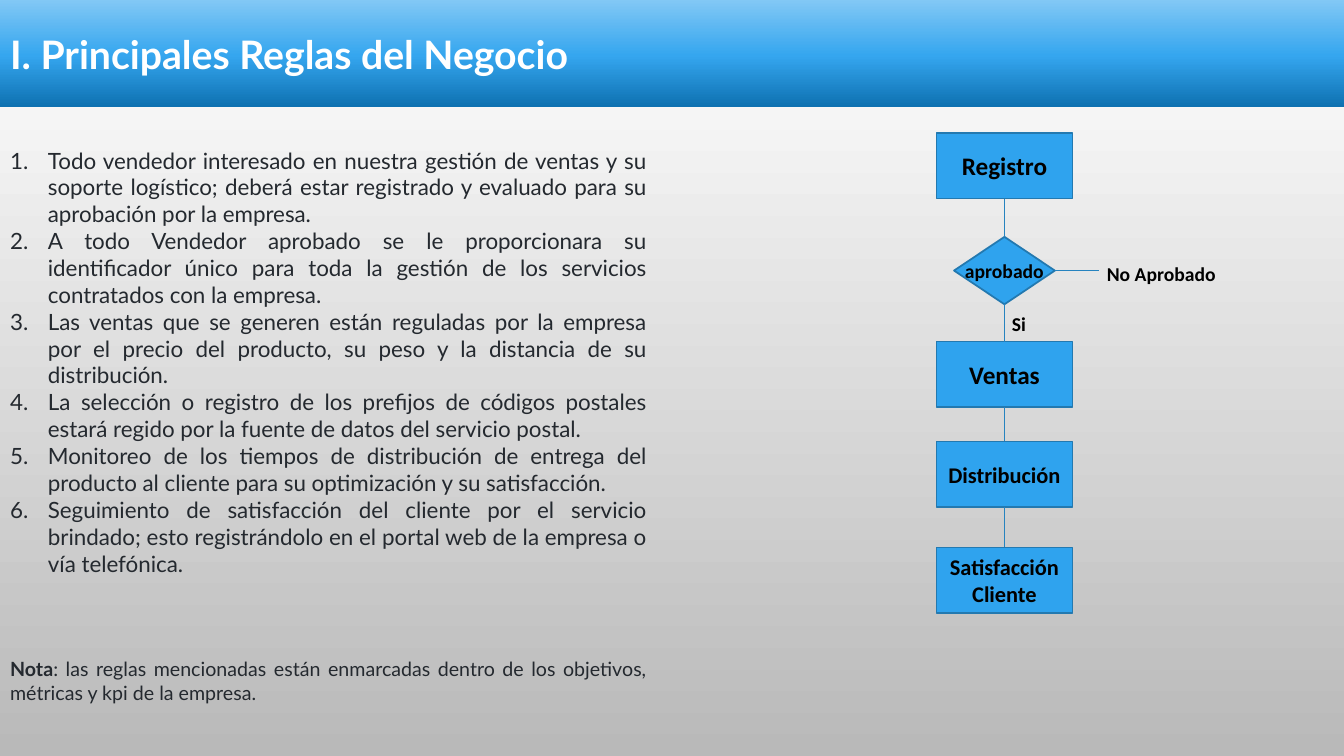
from copy import deepcopy

from lxml import etree
from pptx import Presentation
from pptx.dml.color import RGBColor
from pptx.enum import shapes, text
from pptx.oxml.ns import qn
from pptx.util import Pt

WHITE = RGBColor(0xFF, 0xFF, 0xFF)
BLACK = RGBColor(0, 0, 0)
GRAY = RGBColor(0xB9, 0xB9, 0xB9)
INK = RGBColor(0x24, 0x29, 0x2F)
DEEP_BLUE = RGBColor(0x0E, 0x71, 0xB1)
MID_BLUE = RGBColor(0x35, 0xA6, 0xEF)
PALE_BLUE = RGBColor(0x82, 0xC8, 0xF5)
STEP_BLUE = RGBColor(0x2F, 0xA3, 0xEE)
EDGE_BLUE = RGBColor(0x23, 0x79, 0xB0)
LINK_BLUE = RGBColor(0x26, 0x83, 0xBF)

TITLE = "I. Principales Reglas del Negocio"
RULES = [
    "Todo vendedor interesado en nuestra gestión de ventas y su soporte logístico; "
    "deberá estar registrado y evaluado para su aprobación por la empresa.",
    "A todo Vendedor aprobado se le proporcionara su identificador único para toda "
    "la gestión de los servicios contratados con la empresa.",
    "Las ventas que se generen están reguladas por la empresa por el precio del "
    "producto, su peso y la distancia de su distribución.",
    "La selección o registro de los prefijos de códigos postales estará regido por "
    "la fuente de datos del servicio postal.",
    "Monitoreo de los tiempos de distribución de entrega del producto al cliente "
    "para su optimización y su satisfacción.",
    "Seguimiento de satisfacción del cliente por el servicio brindado; esto "
    "registrándolo en el portal web de la empresa o vía telefónica.",
]
NOTE = ": las reglas mencionadas están enmarcadas dentro de los objetivos, métricas y kpi de la empresa."

# Text lines, font size and top (relative to the flow) of each step
STEPS = [
    (["Registro"], 18, 0),
    (["Ventas"], 18, 149),
    (["Distribución"], 16, 220.3),
    (["Satisfacción", "Cliente"], 16, 296),
]
STEP_HEIGHT = 46.8
DECISION_TOP, DECISION_WIDTH, DECISION_HEIGHT = 74.2, 72, 48.2


def write(paragraph, content, size, font="Calibri", color=BLACK, bold=True,
          align=text.PP_ALIGN.CENTER):
    paragraph.alignment = align
    run = paragraph.add_run()
    run.text = content
    run.font.size = Pt(size)
    run.font.name = font
    run.font.bold = bold
    run.font.color.rgb = color


def place(shape, left, top, width, height):
    shape.left, shape.top, shape.width, shape.height = (
        Pt(left), Pt(top), Pt(width), Pt(height))


def paint_gradient(fill, element, angle, stops):
    """Fill with (position, colour) stops; element is the XML that holds the fill."""
    fill.gradient()
    fill.gradient_angle = angle
    stop_list = element.find(".//" + qn("a:gsLst"))
    while len(stop_list) < len(stops):
        stop_list.append(deepcopy(stop_list[-1]))
    for stop, (position, color) in zip(fill.gradient_stops, stops):
        stop.position = position
        stop.color.rgb = color


def set_marker(paragraph, tag, indent, **attributes):
    properties = paragraph._p.get_or_add_pPr()
    properties.set("marL", str(Pt(indent)))
    properties.set("indent", str(-Pt(indent)))
    etree.SubElement(properties, qn(tag), **attributes)


def add_heading(slide, left, top, width, height):
    heading = slide.shapes.title
    place(heading, left, top, width, height)
    paint_gradient(heading.fill, heading.element, 90,
                   [(0, DEEP_BLUE), (0.48, MID_BLUE), (1, PALE_BLUE)])
    frame = heading.text_frame
    frame.auto_size = text.MSO_AUTO_SIZE.NONE
    frame.vertical_anchor = text.MSO_ANCHOR.MIDDLE
    write(frame.paragraphs[0], TITLE, 28, "Lato", WHITE, align=text.PP_ALIGN.LEFT)


def add_rules(slide, left, top, width, height):
    rules = slide.placeholders[1]
    place(rules, left, top, width, height)
    frame = rules.text_frame
    frame.auto_size = text.MSO_AUTO_SIZE.NONE
    frame.vertical_anchor = text.MSO_ANCHOR.MIDDLE
    style = dict(font="Lato", color=INK, align=text.PP_ALIGN.JUSTIFY)
    for index, rule in enumerate(RULES):
        paragraph = frame.add_paragraph() if index else frame.paragraphs[0]
        paragraph.space_before = Pt(0)
        set_marker(paragraph, "a:buAutoNum", 27, type="arabicPeriod")
        write(paragraph, rule, 16, bold=False, **style)
    note = frame.add_paragraph()
    note.space_before = Pt(57.6)
    set_marker(note, "a:buNone", 0)
    write(note, "Nota", 14, **style)
    write(note, NOTE, 14, bold=False, **style)


def add_node(slide, kind, lines, size, left, top, width, height, wrap=True):
    node = slide.shapes.add_shape(kind, Pt(left), Pt(top), Pt(width), Pt(height))
    node.shadow.inherit = False
    node.fill.solid()
    node.fill.fore_color.rgb = STEP_BLUE
    node.line.color.rgb = EDGE_BLUE
    node.line.width = Pt(1.25)
    frame = node.text_frame
    frame.word_wrap = wrap
    frame.vertical_anchor = text.MSO_ANCHOR.MIDDLE
    for index, line in enumerate(lines):
        write(frame.add_paragraph() if index else frame.paragraphs[0], line, size)
    return node


def add_label(slide, content, left, top, width, height=24.5):
    label = slide.shapes.add_textbox(Pt(left), Pt(top), Pt(width), Pt(height))
    label.text_frame.word_wrap = False
    write(label.text_frame.paragraphs[0], content, 14, align=text.PP_ALIGN.LEFT)


def add_link(slide, source, site, end_x, end_y):
    """Line from a connection site of source to a point."""
    link = slide.shapes.add_connector(shapes.MSO_CONNECTOR.STRAIGHT, 0, 0, end_x, end_y)
    link.begin_connect(source, site)
    link.line.color.rgb = LINK_BLUE
    link.line.width = Pt(0.75)
    etree.SubElement(link.element.spPr, qn("a:effectLst"))
    return link


def add_flow(slide, left, top, width):
    steps = [add_node(slide, shapes.MSO_SHAPE.RECTANGLE, lines, size,
                      left, top + offset, width, STEP_HEIGHT)
             for lines, size, offset in STEPS]
    center = left + width / 2
    decision_top = top + DECISION_TOP
    decision = add_node(slide, shapes.MSO_SHAPE.FLOWCHART_DECISION, ["aprobado"], 14,
                        center - DECISION_WIDTH / 2, decision_top,
                        DECISION_WIDTH, DECISION_HEIGHT, wrap=False)
    chain = [steps[0], decision, *steps[1:]]
    for upper, lower in zip(chain, chain[1:]):
        add_link(slide, upper, 2, Pt(center), lower.top).end_connect(lower, 0)
    add_link(slide, decision, 3, Pt(center + 67.5),
             Pt(decision_top + DECISION_HEIGHT / 2))
    add_label(slide, "Si", center - 1.8, top + 124.6, 25.2)
    add_label(slide, "No Aprobado", center + 66, top + 88.6, 94.3)


def main():
    deck = Presentation()
    deck.slide_width, deck.slide_height = Pt(960), Pt(540)
    slide = deck.slides.add_slide(deck.slide_layouts[1])
    paint_gradient(slide.background.fill, slide.element, 270, [(0, WHITE), (1, GRAY)])
    add_heading(slide, 0, 0, 960, 76.3)
    add_rules(slide, 0, 106.6, 469.4, 394.6)
    add_flow(slide, 668.9, 95, 97.2)
    deck.save("out.pptx")


if __name__ == "__main__":
    main()
